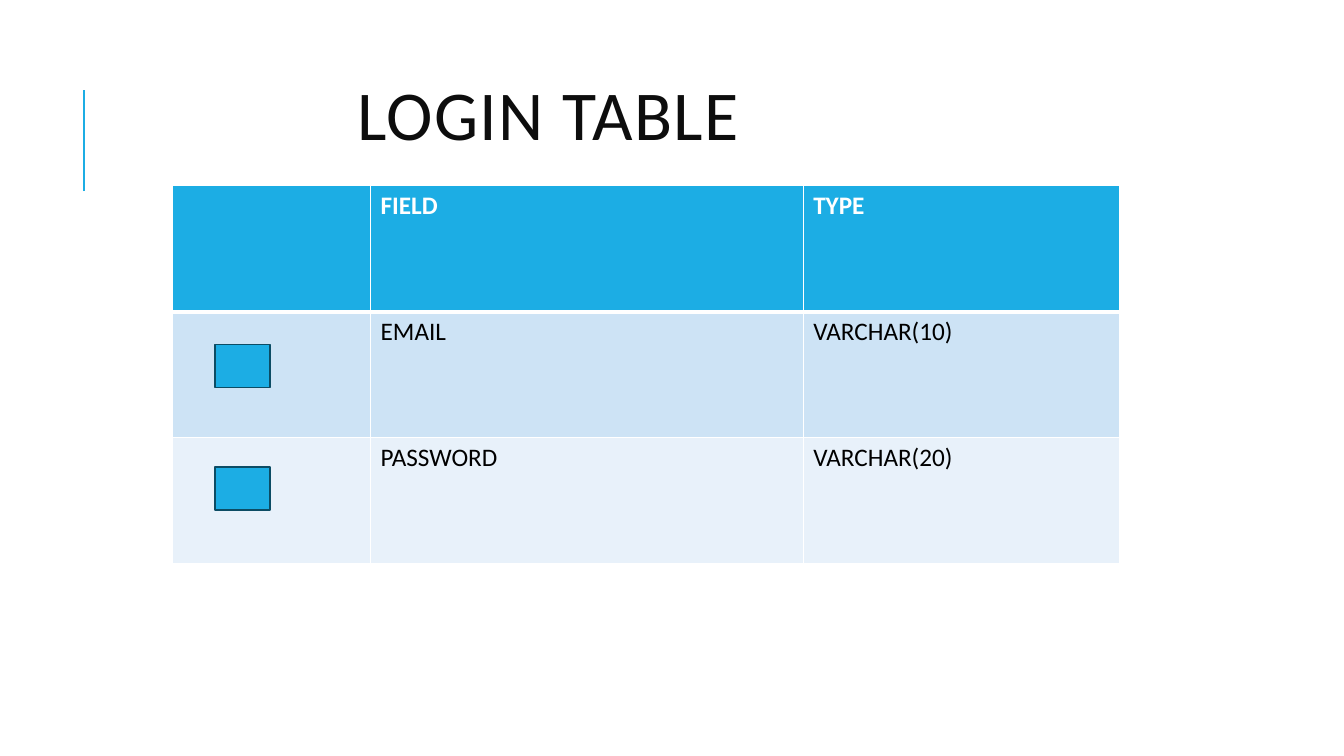
import dataclasses

import lxml.etree
import pptx
import pptx.dml.color
import pptx.enum.shapes
import pptx.enum.text
import pptx.oxml.ns
import pptx.util

PX = 9525
FIELDS = [
    ("", "FIELD", "TYPE"),
    ("", "EMAIL", "VARCHAR(10)"),
    ("", "PASSWORD", "VARCHAR(20)"),
]
COLUMN_WIDTHS = (189, 412, 301)
ROW_HEIGHT = 120


@dataclasses.dataclass(frozen=True)
class Theme:
    font: str = "Calibri"
    accent: str = "1CADE4"
    marker_edge: str = "0C4C64"
    title_ink: str = "0D0D0D"
    body_ink: str = "000000"
    white: str = "FFFFFF"
    bands: tuple = ("CDE3F5", "E8F1FA")
    title_size: int = 50
    body_size: int = 18


THEME = Theme()


def px(length):
    return pptx.util.Emu(length * PX)


def rgb(value):
    return pptx.dml.color.RGBColor.from_string(value)


def add_run(paragraph, text, size, color, bold=False):
    run = paragraph.add_run()
    run.text = text
    run.font.name = THEME.font
    run.font.size = pptx.util.Pt(size)
    run.font.color.rgb = rgb(color)
    run.font.bold = bold
    return run


def add_title(slide, text, left, top, width, height):
    title = slide.shapes.add_textbox(px(left), px(top), px(width), px(height))
    frame = title.text_frame
    frame.word_wrap = True
    frame.vertical_anchor = pptx.enum.text.MSO_ANCHOR.MIDDLE
    heading = frame.paragraphs[0]
    heading.alignment = pptx.enum.text.PP_ALIGN.CENTER
    heading.line_spacing = 0.8
    run = add_run(heading, text, THEME.title_size, THEME.title_ink)
    run.font._element.set("spc", "100")


def add_accent_rule(slide, x, bottom, top):
    rule = slide.shapes.add_connector(
        pptx.enum.shapes.MSO_CONNECTOR.STRAIGHT, px(x), px(bottom), px(x), px(top)
    )
    rule.line.color.rgb = rgb(THEME.accent)
    rule.line.width = pptx.util.Pt(1.5)
    lxml.etree.SubElement(rule._element.spPr, pptx.oxml.ns.qn("a:effectLst"))


def add_cell_border(cell, side, points):
    qn = pptx.oxml.ns.qn
    properties = cell._tc.get_or_add_tcPr()
    border = lxml.etree.SubElement(
        properties, qn(f"a:ln{side}"), w=str(pptx.util.Pt(points))
    )
    fill = lxml.etree.SubElement(border, qn("a:solidFill"))
    lxml.etree.SubElement(fill, qn("a:srgbClr"), val=THEME.white)


def fill_cell(cell, text, row):
    is_header = row == 0
    thick_side = {0: "B", 1: "T"}.get(row)
    for side in "LRTB":
        add_cell_border(cell, side, 3 if side == thick_side else 1)
    cell.fill.solid()
    cell.fill.fore_color.rgb = rgb(
        THEME.accent if is_header else THEME.bands[(row - 1) % 2]
    )
    if text:
        ink = THEME.white if is_header else THEME.body_ink
        add_run(cell.text_frame.paragraphs[0], text, THEME.body_size, ink, is_header)


def add_field_table(slide, left, top):
    login = slide.shapes.add_table(
        len(FIELDS), len(COLUMN_WIDTHS), px(left), px(top),
        px(sum(COLUMN_WIDTHS)), px(ROW_HEIGHT * len(FIELDS)),
    ).table
    for column, width in zip(login.columns, COLUMN_WIDTHS):
        column.width = px(width)
    for row, texts in enumerate(FIELDS):
        login.rows[row].height = px(ROW_HEIGHT)
        for column, text in enumerate(texts):
            fill_cell(login.cell(row, column), text, row)


def add_row_marker(slide, left, top, width, height):
    marker = slide.shapes.add_shape(
        pptx.enum.shapes.MSO_SHAPE.RECTANGLE, px(left), px(top), px(width), px(height)
    )
    marker.shadow.inherit = False
    marker.fill.solid()
    marker.fill.fore_color.rgb = rgb(THEME.accent)
    marker.line.color.rgb = rgb(THEME.marker_edge)
    marker.line.width = pptx.util.Pt(1.25)


def main():
    deck = pptx.Presentation()
    deck.slide_width, deck.slide_height = px(1280), px(720)
    slide = deck.slides.add_slide(deck.slide_layouts[6])
    add_accent_rule(slide, 80, 182, 86)
    add_title(slide, "LOGIN TABLE", 71, 64, 902, 102)
    add_field_table(slide, 164, 177)
    for field in range(len(FIELDS) - 1):
        add_row_marker(slide, 205, 328 + 117 * field, 52, 41)
    deck.save("out.pptx")


if __name__ == "__main__":
    main()
